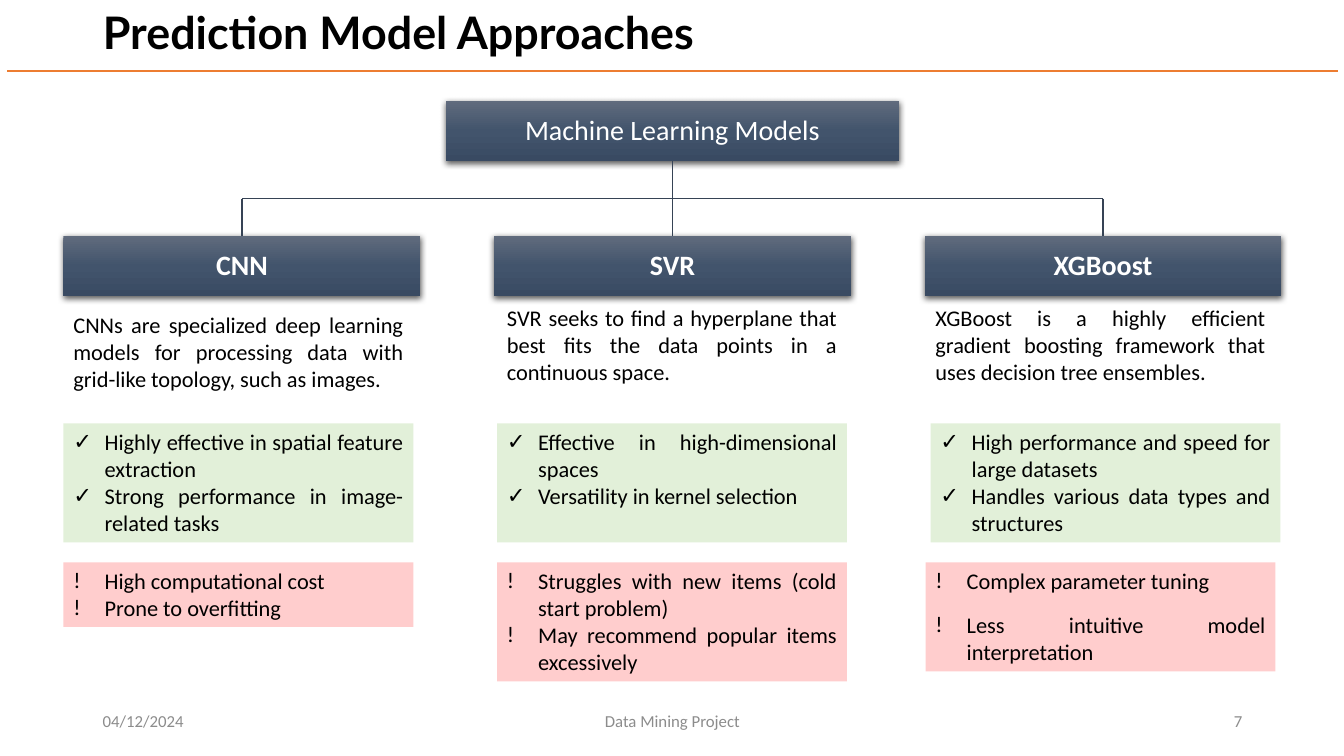
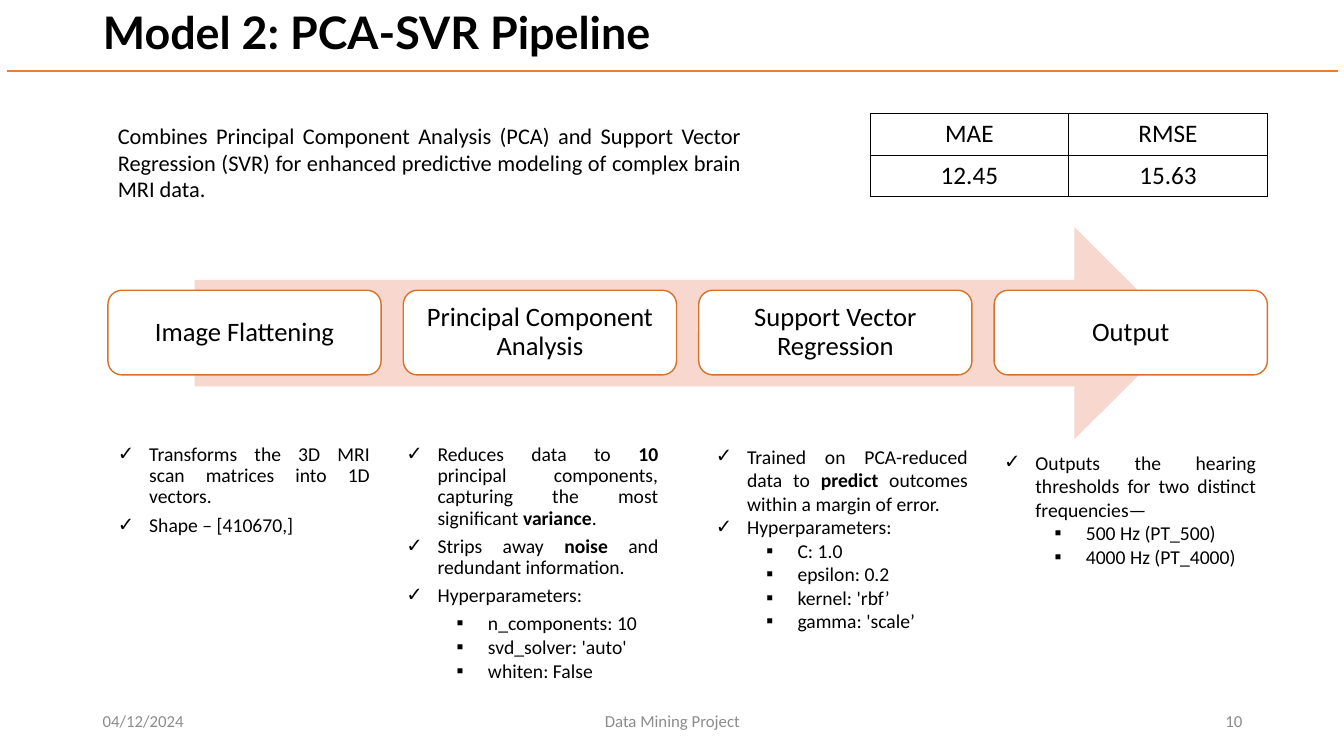
from dataclasses import dataclass

from lxml.etree import SubElement
from pptx import Presentation
from pptx.dml.color import RGBColor
from pptx.enum.shapes import MSO_CONNECTOR, MSO_SHAPE
from pptx.enum.text import MSO_ANCHOR, MSO_AUTO_SIZE, PP_ALIGN
from pptx.oxml.ns import qn
from pptx.util import Emu, Pt

EMU_PER_PX = 9144
TOP, BOTTOM = 0, 2


@dataclass(frozen=True)
class Theme:
    """Colours, fonts and type sizes of the deck."""
    ink: str = "000000"
    paper: str = "FFFFFF"
    rule: str = "ED7D31"
    muted: str = "8C8C8C"
    branch: str = "364355"
    header_gradient: tuple = ("606B7D", "42546C", "394A62")
    strength: str = "E2F0D9"
    weakness: str = "FFCDCD"
    arrow: str = "F8D7CE"
    step_edge: str = "D7712C"
    title_font: str = "Lato"
    body_font: str = "Calibri"
    title_size: int = 32
    header_size: int = 20
    step_size: int = 19
    table_size: int = 18
    text_size: int = 16
    detail_size: int = 14
    footer_size: int = 12


def px(*lengths):
    """Turn pixel lengths into EMU."""
    return [Emu(length * EMU_PER_PX) for length in lengths]


def assign(target, formats):
    """Set each named format value on the target."""
    for name, value in formats.items():
        setattr(target, name, value)


def add_xml(parent, tag, **attributes):
    """Append a drawing element with the given attributes."""
    return SubElement(parent, qn(tag), {k: str(v) for k, v in attributes.items()})


def levelled(entries):
    """Yield each entry with its level; a tuple holds second-level entries."""
    for entry in entries:
        if isinstance(entry, tuple):
            yield from ((1, detail) for detail in entry)
        else:
            yield 0, entry


class Deck:
    """Holds the theme and the current slide, and draws each kind of element."""

    def __init__(self, theme):
        """Open an empty wide presentation."""
        self.theme = theme
        self.presentation = Presentation()
        width, height = px(1333, 750)
        assign(self.presentation, {"slide_width": width, "slide_height": height})

    def start_slide(self, layout_name, title, number):
        """Add a slide with its title, rule and footers."""
        layout = self.presentation.slide_layouts.get_by_name(layout_name)
        self.slide = self.presentation.slides.add_slide(layout)
        self.shapes = self.slide.shapes
        self.bodies = [p for p in self.slide.placeholders if p.placeholder_format.idx]
        heading = self.shapes.title
        self.place(heading, (92, 6, 1150, 58))
        self.typeset(heading.text_frame, [title], self.theme.title_size, bold=True,
                     font=self.theme.title_font, anchor=MSO_ANCHOR.MIDDLE, line_spacing=0.9)
        self.line((7, 70), (1327, 70), self.theme.rule, 1.5)
        footers = (
            ("04/12/2024", 92, 300, PP_ALIGN.LEFT),
            ("Data Mining Project", 442, 450, PP_ALIGN.CENTER),
            (str(number), 942, 300, PP_ALIGN.RIGHT),
        )
        for footer, left, width, align in footers:
            self.text((left, 695, width, 40), [footer], self.theme.footer_size,
                      color=self.theme.muted, align=align, anchor=MSO_ANCHOR.MIDDLE)

    def place(self, shape, box):
        """Move and size a shape."""
        assign(shape, dict(zip(("left", "top", "width", "height"), px(*box))))

    def typeset(self, frame, entries, size, color=None, font=None, bold=False,
                align=PP_ALIGN.LEFT, anchor=MSO_ANCHOR.TOP, inset=(10, 5),
                bullets=None, line_spacing=1.0, after=(0, 0)):
        """Fill a frame with paragraphs; text between asterisks is bold."""
        across, down = px(*inset)
        assign(frame, {"word_wrap": True, "auto_size": MSO_AUTO_SIZE.NONE,
                       "vertical_anchor": anchor, "margin_left": across,
                       "margin_right": across, "margin_top": down, "margin_bottom": down})
        for index, (level, entry) in enumerate(levelled(entries)):
            paragraph = frame.add_paragraph() if index else frame.paragraphs[0]
            assign(paragraph, {"level": level, "alignment": align,
                               "line_spacing": line_spacing, "space_before": Pt(0),
                               "space_after": Pt(after[level])})
            if bullets:
                self.bullet(paragraph, bullets[level], 81 if level else 31)
            for part, words in enumerate(entry.split("*")):
                if words:
                    run = paragraph.add_run()
                    run.text = words
                    assign(run.font, {"size": Pt(size), "bold": bold or part % 2 == 1,
                                      "name": font or self.theme.body_font})
                    run.font.color.rgb = RGBColor.from_string(color or self.theme.ink)

    def bullet(self, paragraph, mark, indent):
        """Give a paragraph a hanging bullet."""
        margin, hang = px(indent, -31)
        properties = paragraph._p.get_or_add_pPr()
        properties.set("marL", str(margin))
        properties.set("indent", str(hang))
        add_xml(properties, "a:buFont", typeface=self.theme.body_font)
        add_xml(properties, "a:buChar", char=mark)

    def text(self, box, entries, size, **formats):
        """Add a text box."""
        self.typeset(self.shapes.add_textbox(*px(*box)).text_frame, entries, size, **formats)

    def body(self, index, box, entries, size, **formats):
        """Fill one of the layout's body placeholders."""
        self.place(self.bodies[index], box)
        self.typeset(self.bodies[index].text_frame, entries, size, **formats)

    def panel(self, kind, box, fill, edge=None):
        """Add a flat preset shape."""
        shape = self.shapes.add_shape(kind, *px(*box))
        shape.shadow.inherit = False
        shape.fill.solid()
        shape.fill.fore_color.rgb = RGBColor.from_string(fill)
        if edge:
            shape.line.color.rgb = RGBColor.from_string(edge)
            shape.line.width = Pt(1)
        else:
            shape.line.fill.background()
        return shape

    def header(self, box, label, bold=False):
        """Add a shaded header box with a soft shadow."""
        shape = self.panel(MSO_SHAPE.RECTANGLE, box, self.theme.branch)
        shape.fill.gradient()
        shape.fill.gradient_angle = 270
        properties = shape.element.spPr
        stops = properties.find(".//" + qn("a:gsLst"))
        stops.clear()
        for index, color in enumerate(self.theme.header_gradient):
            add_xml(add_xml(stops, "a:gs", pos=index * 50000), "a:srgbClr", val=color)
        shadow = add_xml(properties.find(qn("a:effectLst")), "a:outerShdw", blurRad=Pt(4.5),
                         dist=Pt(1.5), dir=5400000, algn="ctr", rotWithShape=0)
        add_xml(add_xml(shadow, "a:srgbClr", val=self.theme.ink), "a:alpha", val=63000)
        self.typeset(shape.text_frame, [label], self.theme.header_size, bold=bold,
                     color=self.theme.paper, align=PP_ALIGN.CENTER,
                     anchor=MSO_ANCHOR.MIDDLE, inset=(1, 1), line_spacing=0.9)
        return shape

    def line(self, start, end, color, width=1, begin=None, finish=None):
        """Add a straight line, joined to the shapes given for its ends."""
        connector = self.shapes.add_connector(MSO_CONNECTOR.STRAIGHT, *px(*start, *end))
        connector.line.color.rgb = RGBColor.from_string(color)
        connector.line.width = Pt(width)
        add_xml(connector.element.spPr, "a:effectLst")
        if begin is not None:
            connector.begin_connect(begin, BOTTOM)
        if finish is not None:
            connector.end_connect(finish, TOP)

    def table(self, box, rows):
        """Add a plain table with a thin border round every cell."""
        table = self.shapes.add_table(len(rows), len(rows[0]), *px(*box)).table
        assign(table, {"first_row": False, "horz_banding": False})
        for r, row in enumerate(rows):
            for c, value in enumerate(row):
                cell = table.cell(r, c)
                properties = cell._tc.get_or_add_tcPr()
                for side in ("a:lnL", "a:lnR", "a:lnT", "a:lnB"):
                    border = add_xml(properties, side, w=Pt(1))
                    add_xml(add_xml(border, "a:solidFill"), "a:srgbClr", val=self.theme.ink)
                cell.fill.background()
                paragraph = cell.text_frame.paragraphs[0]
                paragraph.alignment = PP_ALIGN.CENTER
                run = paragraph.add_run()
                run.text = value
                assign(run.font, {"size": Pt(self.theme.table_size),
                                  "name": self.theme.body_font})
                run.font.color.rgb = RGBColor.from_string(self.theme.ink)


MODELS = (
    ("CNN", (63, 304),
     "CNNs are specialized deep learning models for processing data with grid-like "
     "topology, such as images.",
     (63, ["Highly effective in spatial feature extraction",
           "Strong performance in image-related tasks"]),
     (63, 64, 0, ["High computational cost", "Prone to overfitting"])),
    ("SVR", (493, 297),
     "SVR seeks to find a hyperplane that best fits the data points in a continuous space.",
     (493, ["Effective in high-dimensional spaces", "Versatility in kernel selection"]),
     (493, 118, 0, ["Struggles with new items (cold start problem)",
                    "May recommend popular items excessively"])),
    ("XGBoost", (918, 297),
     "XGBoost is a highly efficient gradient boosting framework that uses decision tree "
     "ensembles.",
     (923, ["High performance and speed for large datasets",
            "Handles various data types and structures"]),
     (918, 108, 12, ["Complex parameter tuning", "Less intuitive model interpretation"])),
)

STEPS = (
    ("Image Flattening", (107, 436, 270, 103), 0.9, (5, 2),
     ["Transforms the 3D MRI scan matrices into 1D vectors.", "Shape – [410670,]"]),
    ("Principal Component Analysis", (393, 436, 270, 254), 0.9, (5, 2),
     ["Reduces data to *10 *principal components, capturing the most significant *variance*.",
      "Strips away *noise* and redundant information.", "Hyperparameters:",
      ("n_components: 10", "svd_solver: 'auto'", "whiten: False")]),
    ("Support Vector Regression", (700, 436, 270, 199), 1.0, (0, 0),
     ["Trained on PCA-reduced data to *predict* outcomes within a margin of error.",
      "Hyperparameters:",
      ("C: 1.0", "epsilon: 0.2", "kernel: 'rbf’", "gamma: 'scale’")]),
    ("Output", (986, 442, 270, 128), 1.0, (0, 0),
     ["Outputs the hearing thresholds for two distinct frequencies—",
      ("500 Hz (PT_500)", "4000 Hz (PT_4000)")]),
)


def draw_approaches(deck):
    """Draw the tree of models with their strengths and weaknesses."""
    theme = deck.theme
    deck.start_slide("Title Only", "Prediction Model Approaches", 7)
    root = deck.header((442, 100, 450, 60), "Machine Learning Models")
    center, spacing, bus = 667, 427, 197
    deck.line((center - spacing, bus), (center + spacing, bus), theme.branch)
    for index, (name, corner, summary, strengths, weaknesses) in enumerate(MODELS):
        middle = center + (index - 1) * spacing
        model = deck.header((middle - 177, 234, 354, 60), name, bold=True)
        trunk = root if middle == center else None
        deck.line((middle, bus), (middle, 234), theme.branch, begin=trunk, finish=model)
        deck.text((*corner, 347, 91), [summary], theme.text_size, align=PP_ALIGN.JUSTIFY)
        strong_left, strong = strengths
        weak_left, weak_height, gap, weak = weaknesses
        for box, fill, mark, after, entries in (
            ((strong_left, 420, 347, 118), theme.strength, "✓", 0, strong),
            ((weak_left, 558, 347, weak_height), theme.weakness, "!", gap, weak),
        ):
            card = deck.panel(MSO_SHAPE.RECTANGLE, box, fill)
            deck.typeset(card.text_frame, entries, theme.text_size, bullets=mark,
                         align=PP_ALIGN.JUSTIFY, after=(after, 0))


def draw_pipeline(deck):
    """Draw the pipeline steps with their details and scores."""
    theme = deck.theme
    deck.start_slide("Comparison", "Model 2: PCA-SVR Pipeline", 10)
    deck.text((107, 116, 638, 91),
              ["Combines Principal Component Analysis (PCA) and Support Vector Regression "
               "(SVR) for enhanced predictive modeling of complex brain MRI data."],
              theme.text_size, align=PP_ALIGN.JUSTIFY)
    deck.panel(MSO_SHAPE.RIGHT_ARROW, (193, 225, 978, 211), theme.arrow)
    for index, (name, box, line_spacing, after, details) in enumerate(STEPS):
        step = deck.panel(MSO_SHAPE.ROUNDED_RECTANGLE, (107 + index * 293, 288, 271, 84),
                          theme.paper, theme.step_edge)
        deck.typeset(step.text_frame, [name], theme.step_size, align=PP_ALIGN.CENTER,
                     anchor=MSO_ANCHOR.MIDDLE, inset=(12, 12), line_spacing=0.9)
        deck.body(index, box, details, theme.detail_size, align=PP_ALIGN.JUSTIFY,
                  bullets="✓▪", line_spacing=line_spacing, after=after)
    deck.table((863, 113, 394, 82), (("MAE", "RMSE"), ("12.45", "15.63")))


def main():
    """Build and save the deck."""
    deck = Deck(Theme())
    draw_approaches(deck)
    draw_pipeline(deck)
    deck.presentation.save("out.pptx")


if __name__ == "__main__":
    main()
